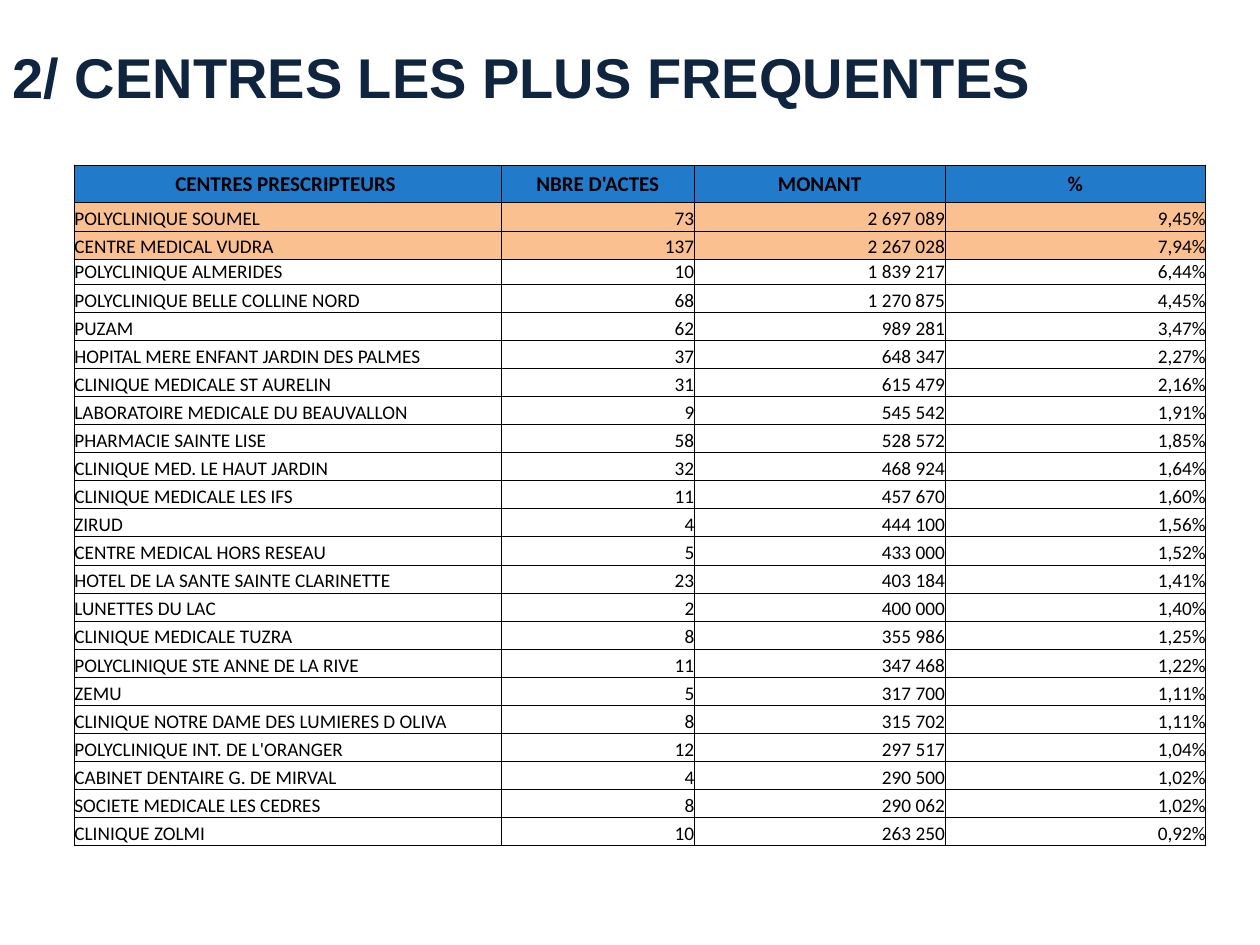
from lxml import etree
from pptx import Presentation
from pptx.dml.color import RGBColor
from pptx.enum import text as t
from pptx.oxml.ns import qn
from pptx.util import Inches, Pt

NAVY = RGBColor(0x0F, 0x24, 0x3E)
BLUE = RGBColor(0x22, 0x7A, 0xCB)
PEACH = RGBColor(0xFA, 0xC0, 0x90)
BLACK = RGBColor(0, 0, 0)
LEFT, MID, RIGHT = t.PP_ALIGN.LEFT, t.PP_ALIGN.CENTER, t.PP_ALIGN.RIGHT

ROWS = [
    ("CENTRES PRESCRIPTEURS ", "NBRE D'ACTES", "MONANT", "%"),
    ("POLYCLINIQUE SOUMEL", "73", "2 697 089", "9,45%"),
    ("CENTRE MEDICAL VUDRA", "137", "2 267 028", "7,94%"),
    ("POLYCLINIQUE ALMERIDES", "10", "1 839 217", "6,44%"),
    ("POLYCLINIQUE BELLE COLLINE NORD", "68", "1 270 875", "4,45%"),
    ("PUZAM", "62", "989 281", "3,47%"),
    ("HOPITAL MERE ENFANT JARDIN DES PALMES", "37", "648 347", "2,27%"),
    ("CLINIQUE MEDICALE ST AURELIN", "31", "615 479", "2,16%"),
    ("LABORATOIRE MEDICALE DU BEAUVALLON", "9", "545 542", "1,91%"),
    ("PHARMACIE SAINTE LISE", "58", "528 572", "1,85%"),
    ("CLINIQUE MED. LE HAUT JARDIN", "32", "468 924", "1,64%"),
    ("CLINIQUE MEDICALE LES IFS", "11", "457 670", "1,60%"),
    ("ZIRUD", "4", "444 100", "1,56%"),
    ("CENTRE MEDICAL HORS RESEAU", "5", "433 000", "1,52%"),
    ("HOTEL DE LA SANTE SAINTE CLARINETTE", "23", "403 184", "1,41%"),
    ("LUNETTES DU LAC", "2", "400 000", "1,40%"),
    ("CLINIQUE MEDICALE TUZRA", "8", "355 986", "1,25%"),
    ("POLYCLINIQUE STE ANNE DE LA RIVE", "11", "347 468", "1,22%"),
    ("ZEMU", "5", "317 700", "1,11%"),
    ("CLINIQUE NOTRE DAME DES LUMIERES D OLIVA", "8", "315 702", "1,11%"),
    ("POLYCLINIQUE INT. DE L'ORANGER", "12", "297 517", "1,04%"),
    ("CABINET DENTAIRE G. DE MIRVAL", "4", "290 500", "1,02%"),
    ("SOCIETE MEDICALE LES CEDRES", "8", "290 062", "1,02%"),
    ("CLINIQUE ZOLMI", "10", "263 250", "0,92%"),
]
WIDTHS = [3.39, 1.53, 1.99, 2.07]
HEAD, SHORT, TALL = 0.3, 0.2, 5.41
BODY = (TALL - HEAD - SHORT) / (len(ROWS) - 2)


def style(obj, **vals):
    for key, val in vals.items():
        setattr(obj, key, val)


def edge(cell):
    props = cell._tc.get_or_add_tcPr()
    for side in ("lnL", "lnR", "lnT", "lnB"):
        line = etree.SubElement(props, qn("a:" + side), w=str(Pt(0.5)))
        fill = etree.SubElement(line, qn("a:solidFill"))
        etree.SubElement(fill, qn("a:srgbClr"), val=str(BLACK))


deck = Presentation()
style(deck, slide_width=Inches(10), slide_height=Inches(7.5))
slide = deck.slides.add_slide(deck.slide_layouts[5])

title = slide.shapes.title
style(title, left=0, top=Inches(0.02), width=Inches(10), height=Inches(1.17))
title.text_frame.text = "2/ CENTRES LES PLUS FREQUENTES"
title.text_frame.vertical_anchor = t.MSO_ANCHOR.MIDDLE
para = title.text_frame.paragraphs[0]
para.alignment = LEFT
font = para.runs[0].font
style(font, name="Arial", size=Pt(32), bold=True)
font.color.rgb = NAVY

frame = slide.shapes.add_table(
    len(ROWS), len(WIDTHS), Inches(0.59), Inches(1.31),
    Inches(sum(WIDTHS)), Inches(TALL))
table = frame.table
style(table, first_row=False, horz_banding=False)
for col, width in zip(table.columns, WIDTHS):
    col.width = Inches(width)

for r, row in enumerate(ROWS):
    top = r == 0
    table.rows[r].height = Inches({0: HEAD, 3: SHORT}.get(r, BODY))
    pad = Inches(0.01 if top else 0)
    for c, word in enumerate(row):
        cell = table.cell(r, c)
        style(cell, text=word, margin_left=pad, margin_right=pad,
              margin_top=pad, margin_bottom=0,
              vertical_anchor=t.MSO_ANCHOR.MIDDLE if top else t.MSO_ANCHOR.BOTTOM)
        edge(cell)
        if r < 3:
            cell.fill.solid()
            cell.fill.fore_color.rgb = BLUE if top else PEACH
        else:
            cell.fill.background()
        para = cell.text_frame.paragraphs[0]
        para.alignment = MID if top else RIGHT if c else LEFT
        font = para.runs[0].font
        style(font, name="Calibri", size=Pt(12 if top else 11), bold=top)
        font.color.rgb = BLACK

deck.save("out.pptx")
